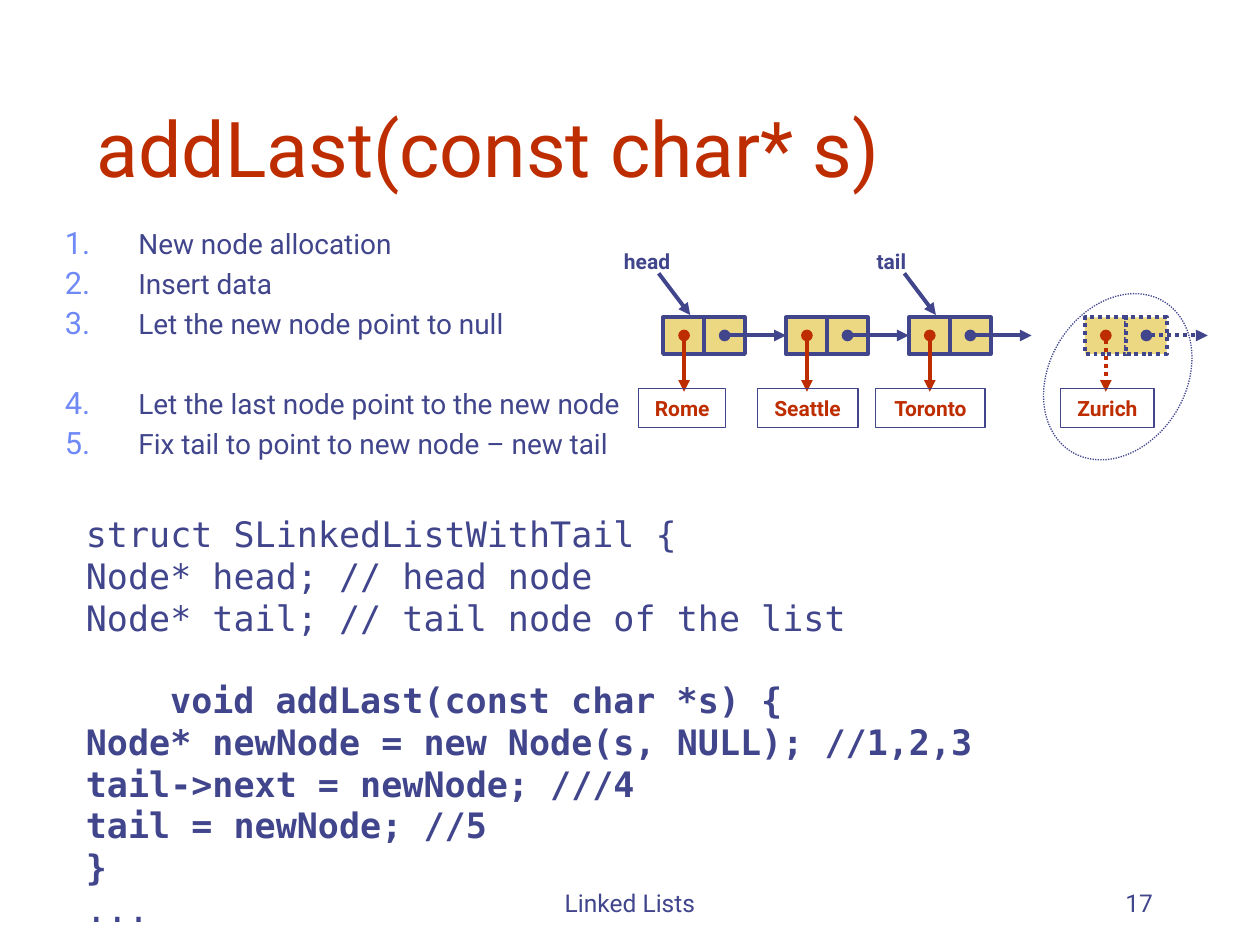
from lxml import etree
from pptx import Presentation
from pptx import util as u
from pptx.dml.color import RGBColor
from pptx.enum import dml, shapes, text
from pptx.oxml.ns import qn

NAVY, RED, SAND, BLUE = "40458C", "BE2D00", "ECD882", "6F89F7"
SANS, MONO = "Roboto", "DejaVu Sans Mono"
LEFT, CENTER, RIGHT = text.PP_ALIGN.LEFT, text.PP_ALIGN.CENTER, text.PP_ALIGN.RIGHT
TOP, MIDDLE, BOTTOM = (text.MSO_ANCHOR.TOP, text.MSO_ANCHOR.MIDDLE,
                       text.MSO_ANCHOR.BOTTOM)


def rgb(value):
    return RGBColor.from_string(value)


def add_xml(parent, tag, **attrs):
    return etree.SubElement(parent, qn(tag), attrs)


class Deck:
    """Slide style and the slide being drawn; all lengths are in points."""

    def __init__(self, width, height):
        self.prs = Presentation()
        self.prs.slide_width, self.prs.slide_height = u.Pt(width), u.Pt(height)
        self.s = self.prs.slides.add_slide(self.prs.slide_layouts[5])

    def run(self, p, words, size, color=NAVY, font=SANS, bold=False):
        r = p.add_run()
        r.text = words
        r.font.size, r.font.name, r.font.bold = u.Pt(size), font, bold
        r.font.color.rgb = rgb(color)

    def frame(self, sp, anchor, wrap=True):
        tf = sp.text_frame
        tf.word_wrap, tf.vertical_anchor = wrap, anchor
        tf.auto_size = text.MSO_AUTO_SIZE.NONE
        return tf

    def title(self, box, words):
        sp = self.s.shapes.title
        sp.left, sp.top, sp.width, sp.height = map(u.Pt, box)
        p = self.frame(sp, BOTTOM).paragraphs[0]
        p.alignment = LEFT
        self.run(p, words, 44, RED)

    def textbox(self, box, anchor=TOP, wrap=True):
        return self.frame(self.s.shapes.add_textbox(*map(u.Pt, box)), anchor, wrap)

    def label(self, box, words, size, align=CENTER, anchor=MIDDLE, bold=False):
        p = self.textbox(box, anchor, wrap=False).paragraphs[0]
        p.alignment = align
        self.run(p, words, size, bold=bold)

    def paragraph(self, tf, index, before):
        p = tf.add_paragraph() if index else tf.paragraphs[0]
        p.space_before = u.Pt(before)
        return p

    def numbered(self, box, items, size, indent):
        tf = self.textbox(box)
        for i, (words, before) in enumerate(items):
            p = self.paragraph(tf, i, before)
            self.run(p, words, size)
            ppr = p._p.get_or_add_pPr()
            ppr.set("marL", str(u.Pt(indent)))
            ppr.set("indent", str(-u.Pt(indent)))
            add_xml(add_xml(ppr, "a:buClr"), "a:srgbClr", val=BLUE)
            add_xml(ppr, "a:buSzPct", val="110000")
            add_xml(ppr, "a:buFont", typeface=SANS)
            add_xml(ppr, "a:buAutoNum", type="arabicPeriod")

    def code(self, box, lines, size):
        tf = self.textbox(box)
        for i, (words, before, indent, bold) in enumerate(lines):
            p = self.paragraph(tf, i, before)
            p.line_spacing = 0.8
            p._p.get_or_add_pPr().set("marL", str(u.Pt(indent)))
            self.run(p, words, size, font=MONO, bold=bold)

    def line_style(self, line, color, width, dotted):
        line.color.rgb, line.width = rgb(color), u.Pt(width)
        if dotted:
            line.dash_style = dml.MSO_LINE.ROUND_DOT

    def shape(self, kind, box, fill=None, width=0.75, dotted=False, words=""):
        sp = self.s.shapes.add_shape(kind, *map(u.Pt, box))
        sp.shadow.inherit = False
        if fill:
            sp.fill.solid()
            sp.fill.fore_color.rgb = rgb(fill)
        else:
            sp.fill.background()
        self.line_style(sp.line, NAVY, width, dotted)
        if words:
            p = self.frame(sp, MIDDLE, wrap=False).paragraphs[0]
            p.alignment = CENTER
            self.run(p, words, 12, RED, bold=True)
        return sp

    def arrow(self, start, end, color=NAVY, dotted=False, dot=True):
        c = self.s.shapes.add_connector(shapes.MSO_CONNECTOR.STRAIGHT,
                                        *map(u.Pt, start + end))
        self.line_style(c.line, color, 2.25, dotted)
        ln = c.line._get_or_add_ln()
        if dot:
            add_xml(ln, "a:headEnd", type="oval")
        add_xml(ln, "a:tailEnd", type="triangle")
        add_xml(c._element.spPr, "a:effectLst")

    def node(self, left, name, name_left, name_width, dotted=False):
        """Two cells, the arrow to the next node and the arrow to the data."""
        cell, top, height = 23.4, 181.4, 20.9
        rect = shapes.MSO_SHAPE.RECTANGLE
        for x in (left, left + cell):
            self.shape(rect, (x, top, cell, height), SAND, 2.25, dotted)
        mid = top + 10.3
        self.arrow((left + 35.2, mid), (left + 70.2, mid), dotted=dotted)
        self.arrow((left + 12, mid), (left + 12, 223.9), RED, dotted)
        self.shape(rect, (name_left, 221.8, name_width, 22.3), words=name)

    def pointer(self, name, box, node_left):
        self.arrow((node_left - 2.5, 156.2), (node_left + 15.5, 180), dot=False)
        self.label(box, name, 12, bold=True)


def main():
    d = Deck(720, 540)

    # Title, footer and slide number
    d.title((48, 24, 612, 90), "addLast(const char* s)")
    d.label((246, 492, 228, 36), "Linked Lists", 14, anchor=BOTTOM)
    d.label((516, 492, 150, 36), "17", 14, RIGHT, BOTTOM)

    # Steps, the last two set apart from the first three
    gap = 3.75
    d.numbered((30, 126, 384, 186), [
        ("New node allocation", gap),
        ("Insert data", gap),
        ("Let the new node point to null", gap),
        ("Let the last node point to the new node", gap + 22.5),
        ("Fix tail to point to new node – new tail", gap),
    ], 16, 42)

    # Linked list and the new node
    first, step = 378.9, 70.2
    names = [("Rome", 365, 49.7), ("Seattle", 432.7, 57.6), ("Toronto", 500.4, 62.6)]
    for i, name in enumerate(names):
        d.node(first + i * step, *name)
    d.node(619.9, "Zurich", 606.2, 53.3, dotted=True)
    ring = d.shape(shapes.MSO_SHAPE.OVAL, (599.8, 164.9, 77.8, 100.8), dotted=True)
    ring.rotation = 31.8
    d.pointer("head", (347.8, 138.2, 43.9, 21.6), first)
    d.pointer("tail", (492.5, 138.2, 33.8, 21.6), first + 2 * step)

    # Code, with a wide gap before the function
    gap = 4.65
    d.code((42, 294, 642, 288), [
        ("struct SLinkedListWithTail {", gap, 0, False),
        ("Node* head; // head node", gap, 0, False),
        ("Node* tail; // tail node of the list", gap, 0, False),
        ("void addLast(const char *s) {", gap + 23.3, 48.2, True),
        ("Node* newNode = new Node(s, NULL); //1,2,3", gap, 0, True),
        ("tail->next = newNode; ///4", gap, 0, True),
        ("tail = newNode; //5", gap, 0, True),
        ("}", gap, 0, True),
        ("...", gap, 0, False),
    ], 20)

    d.prs.save("out.pptx")


if __name__ == "__main__":
    main()
